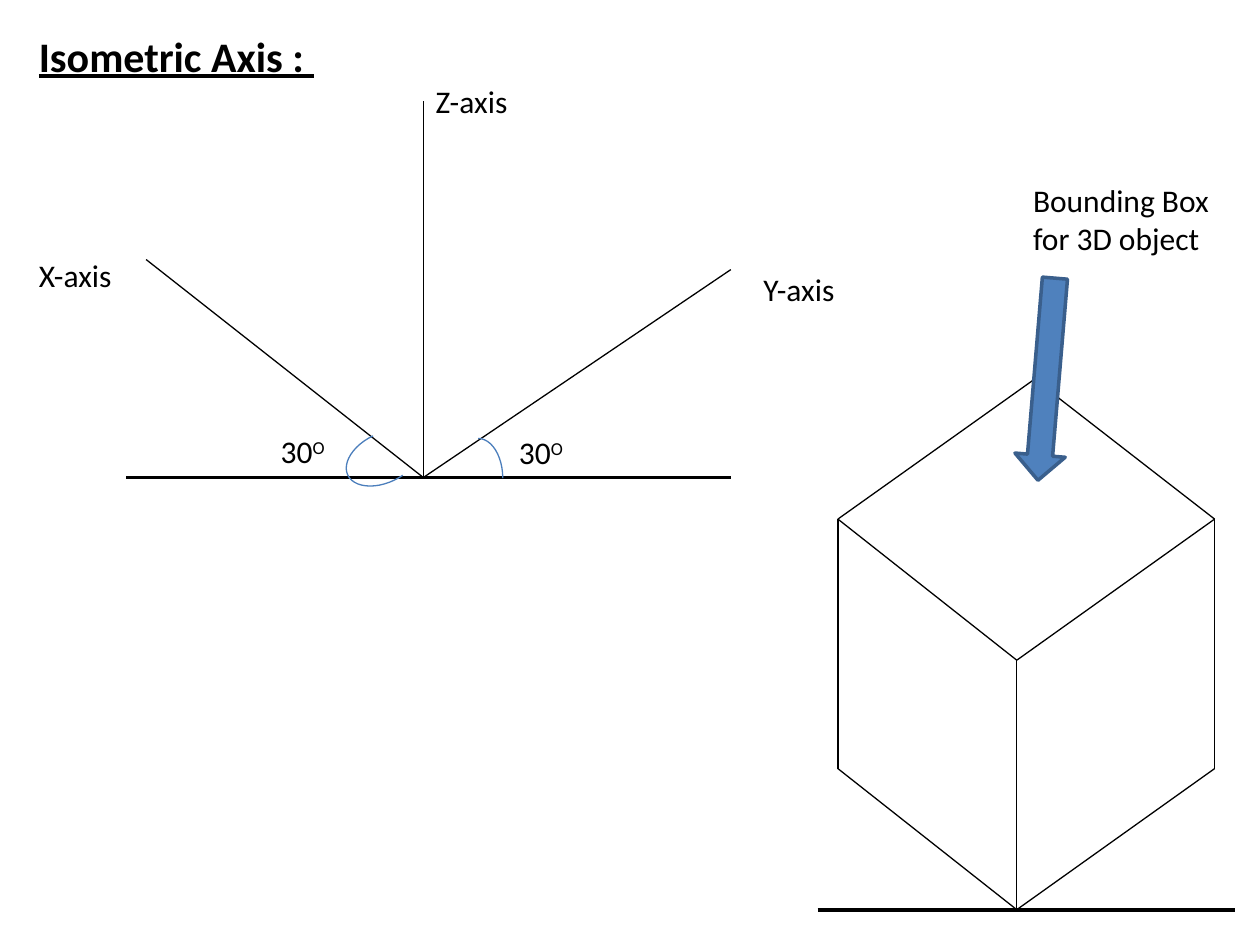
from pptx import Presentation
from pptx.dml.color import RGBColor
from pptx.enum.shapes import MSO_CONNECTOR, MSO_SHAPE
from pptx.enum.text import MSO_AUTO_SIZE
from pptx.oxml.ns import qn
from pptx.util import Inches, Pt
from lxml.etree import SubElement

BLACK = "000000"
THIN, THICK = 0.75, 2.25

# Axes: all three leave one origin
ORIGIN = (3.36, 3.79)
AXES = [(5.8, 2.14), (1.16, 2.06), (3.36, 0.8)]

# Bounding box: upright edges of one height, and the far top corner
LEFT, FRONT, RIGHT = (6.65, 6.1), (8.07, 7.22), (9.64, 6.1)
HEIGHT = 1.98
BACK = (8.21, 3.01)

# Ground lines: start, end
GROUND = [((1, 3.79), (5.8, 3.79)), ((6.49, 7.22), (9.8, 7.22))]

# Shapes: preset, box, turn, angles in degrees, fill, line, width
SHAPES = [
    (MSO_SHAPE.ARC, (3.6, 3.48, 0.39, 0.63), 0, (270, 0), None, "4B7EBC", 0.75),
    (MSO_SHAPE.ARC, (2.85, 3.32, 0.39, 0.63), 244.5, (157.46, 0), None, "4B7EBC", 0.75),
    (MSO_SHAPE.RIGHT_ARROW, (7.5, 2.81, 1.61, 0.4), 94.8, (), "4F81BD", "3A5F8C", 2),
]

# Labels: text, raised text, box, wrap, font
BODY = {"name": "Calibri", "size": Pt(18)}
HEAD = {**BODY, "size": Pt(24), "bold": True, "underline": True}
LABELS = [
    ("Isometric Axis : ", "", (0.21, 0.19, 2.4, 0.5), False, HEAD),
    ("X-axis", "", (0.21, 1.98, 0.94, 0.4), True, BODY),
    ("Y-axis", "", (5.96, 2.09, 0.94, 0.4), True, BODY),
    ("Z-axis", "", (3.36, 0.6, 0.94, 0.4), True, BODY),
    ("30", "O", (4.02, 3.39, 0.57, 0.4), False, BODY),
    ("30", "O", (2.13, 3.38, 0.57, 0.4), False, BODY),
    ("Bounding Box for 3D object", "", (8.1, 1.39, 1.78, 0.71), True, BODY),
]


def color(code):
    return RGBColor.from_string(code)


def inches(nums):
    return [Inches(n) for n in nums]


def add_line(slide, start, end, width=THIN):
    line = slide.shapes.add_connector(
        MSO_CONNECTOR.STRAIGHT, *inches(start + end))
    line.line.color.rgb = color(BLACK)
    line.line.width = Pt(width)
    SubElement(line._element.spPr, qn("a:effectLst"))


def add_form(slide, kind, box, turn, angles, fill, edge, width):
    form = slide.shapes.add_shape(kind, *inches(box))
    form.shadow.inherit = False
    form.rotation = turn
    for i, angle in enumerate(angles):
        form.adjustments[i] = angle * 0.6  # 60000 units a degree, scaled by 100000
    if fill:
        form.fill.solid()
        form.fill.fore_color.rgb = color(fill)
    else:
        form.fill.background()
    form.line.color.rgb = color(edge)
    form.line.width = Pt(width)


def add_label(slide, text, raised, box, wrap, font):
    frame = slide.shapes.add_textbox(*inches(box)).text_frame
    frame.word_wrap = wrap
    frame.auto_size = MSO_AUTO_SIZE.SHAPE_TO_FIT_TEXT
    for part, base in ((text, 0), (raised, 30000)):
        if not part:
            continue
        run = frame.paragraphs[0].add_run()
        run.text = part
        for key, value in font.items():
            setattr(run.font, key, value)
        run.font.color.rgb = color(BLACK)
        if base:
            run._r.get_or_add_rPr().set("baseline", str(base))


def main():
    deck = Presentation()
    deck.slide_width, deck.slide_height = Inches(10), Inches(7.5)
    slide = deck.slides.add_slide(deck.slide_layouts[6])

    # Axes and ground
    for end in AXES:
        add_line(slide, ORIGIN, end)
    for start, end in GROUND:
        add_line(slide, start, end, THICK)

    # Box: uprights, lower and upper front edges, back edges
    low = [LEFT, FRONT, RIGHT]
    top = [(x, y - HEIGHT) for x, y in low]
    edges = list(zip(low, top))
    for row in (low, top):
        edges += zip(row, row[1:])
    edges += [(top[0], BACK), (top[2], BACK)]
    for start, end in edges:
        add_line(slide, start, end)

    # Angle arcs, arrow and labels
    for item in SHAPES:
        add_form(slide, *item)
    for item in LABELS:
        add_label(slide, *item)
    deck.save("out.pptx")


if __name__ == "__main__":
    main()
